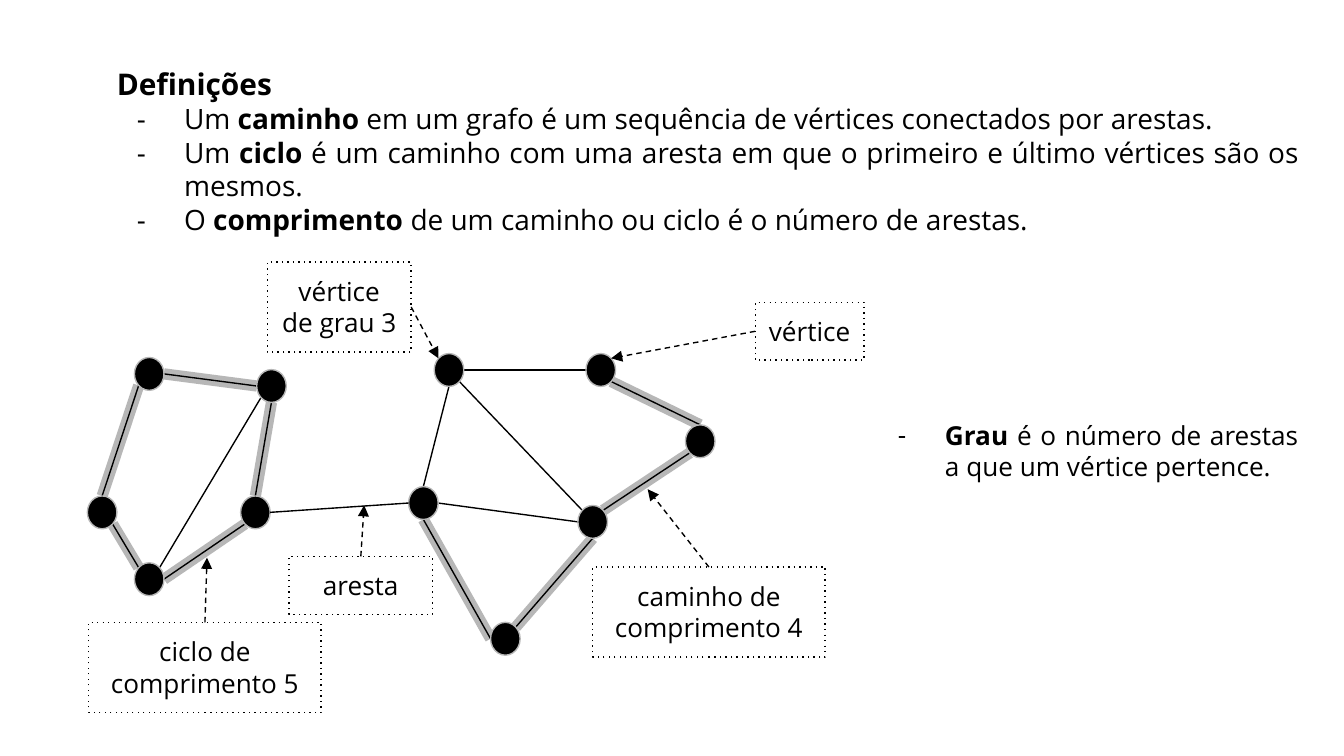
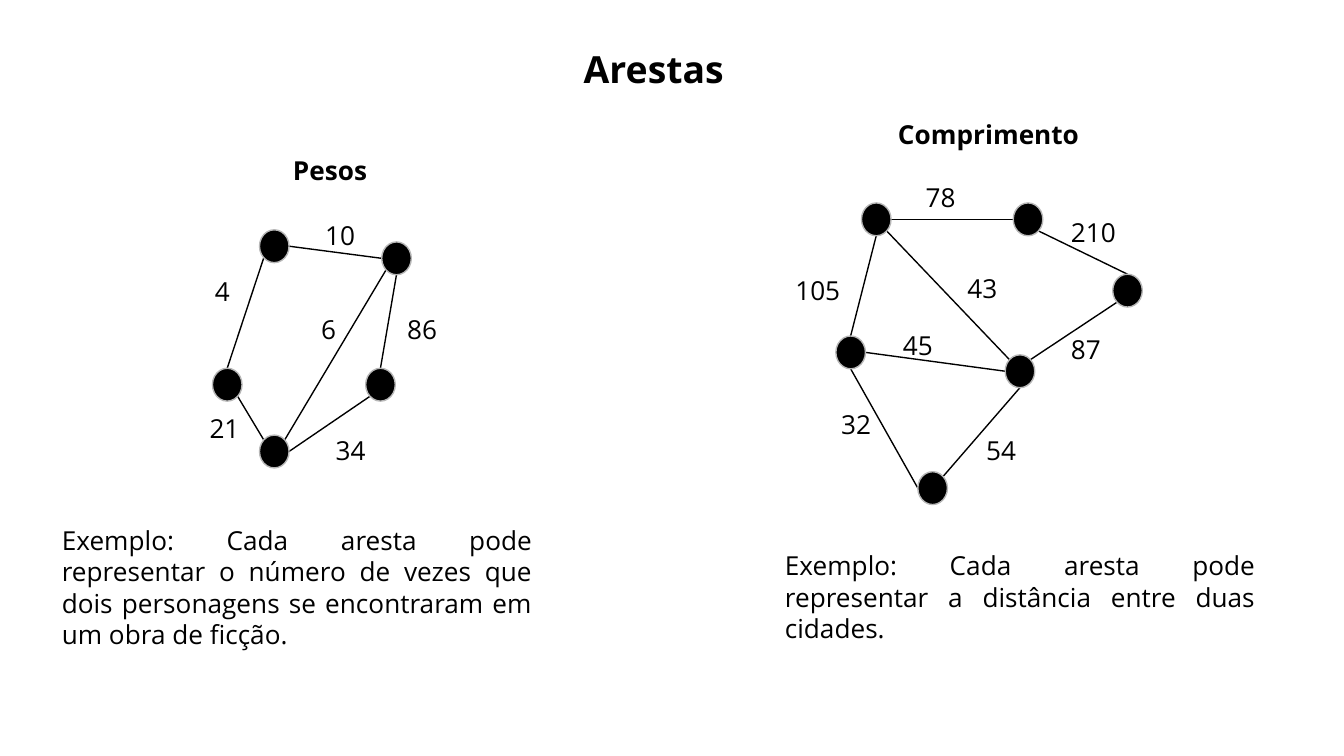
from math import sqrt

from lxml import etree
from pptx import Presentation
from pptx.dml.color import RGBColor
from pptx.enum import dml, shapes, text
from pptx.oxml import ns
from pptx.util import Pt

COLORS = {"ink": "000000", "highlight": "B7B7B7"}
FONT = "Open Sans"
THIN, THICK = 0.75, 6
VERTEX_W, VERTEX_H = 15.84, 17.6
LABEL_H = 31
LEFT, CENTER, JUSTIFY = text.PP_ALIGN.LEFT, text.PP_ALIGN.CENTER, text.PP_ALIGN.JUSTIFY

D = 1 / sqrt(2)
SITES = {"N": (0, -1), "NE": (D, -D), "E": (1, 0), "SE": (D, D),
         "S": (0, 1), "SW": (-D, D), "W": (-1, 0), "NW": (-D, -D)}

# Edges: vertex, site, vertex, site, highlighted, weight, weight left, top, width
CYCLE = {
    "vertices": {"a": (25.2, 0), "b": (90.7, 6.5), "c": (82.1, 74.2),
                 "d": (25.2, 110), "e": (0, 74.2)},
    "edges": [
        ("e", "N", "a", "SW", True, "4", -5.8, 17.3, 19.4),
        ("a", "E", "b", "W", True, "10", 53.3, -13, 37.4),
        ("d", "NE", "b", "SW", False, "6", 51.1, 37.4, 37.4),
        ("b", "S", "c", "N", True, "86", 97.2, 37.4, 33.8),
        ("c", "SW", "d", "E", True, "34", 59, 102.2, 33.8),
        ("d", "NW", "e", "SE", True, "21", -8.6, 90.7, 33.8),
    ],
}
TRAIL = {
    "vertices": {"f": (13.7, 0), "g": (95, 0), "h": (148.3, 38.2),
                 "i": (90.7, 81.4), "j": (43.9, 144), "k": (0, 71.3)},
    "edges": [
        ("k", "N", "f", "S", False, "105", -28.8, 31, 46.8),
        ("j", "W", "k", "S", True, "32", -4.3, 103, 37.4),
        ("j", "NE", "i", "S", True, "54", 73.4, 116.6, 37.4),
        ("i", "NE", "h", "SW", True, "87", 118.8, 62.6, 37.4),
        ("h", "N", "g", "SE", True, "210", 118.8, 0, 54),
        ("f", "E", "g", "W", False, "78", 41, -18.7, 37.4),
        ("i", "NW", "f", "SE", False, "43", 63.4, 30.2, 37.4),
        ("k", "E", "i", "W", False, "45", 28.8, 60.5, 37.4),
    ],
}


def rgb(name):
    """Return the named colour."""
    return RGBColor.from_string(COLORS[name])


def bullet(paragraph, mark):
    """Give a paragraph a hanging mark, or no mark and no indent."""
    props = paragraph._p.get_or_add_pPr()
    props.set("marL", str(Pt(36 if mark else 0)))
    props.set("indent", str(Pt(-25.2 if mark else 0)))
    if mark:
        etree.SubElement(props, ns.qn("a:buFont"), typeface=FONT)
        etree.SubElement(props, ns.qn("a:buChar"), char=mark)
    else:
        etree.SubElement(props, ns.qn("a:buNone"))


def write(holder, paragraphs, size, align, mark=None):
    """Fill a shape with paragraphs made of (words, bold) runs."""
    frame = holder.text_frame
    frame.word_wrap = True
    frame.auto_size = text.MSO_AUTO_SIZE.NONE
    frame.vertical_anchor = text.MSO_ANCHOR.TOP
    frame.margin_left = frame.margin_right = Pt(7.2)
    frame.margin_top = frame.margin_bottom = Pt(7.2)
    for index, runs in enumerate(paragraphs):
        paragraph = frame.add_paragraph() if index else frame.paragraphs[0]
        paragraph.alignment = align
        paragraph.line_spacing = 1.0
        paragraph.space_before = paragraph.space_after = Pt(0)
        bullet(paragraph, mark)
        for words, bold in runs:
            run = paragraph.add_run()
            run.text = words
            run.font.name, run.font.size, run.font.bold = FONT, Pt(size), bold
            run.font.color.rgb = rgb("ink")


def place(holder, box):
    """Move a placeholder to a box."""
    holder.left, holder.top, holder.width, holder.height = map(Pt, box)
    return holder


def segment(slide, start, end, color="ink", width=THIN, arrow=False):
    """Draw a straight line, or a dashed arrow."""
    link = slide.shapes.add_connector(shapes.MSO_CONNECTOR.STRAIGHT, *map(Pt, (*start, *end)))
    link.line.color.rgb = rgb(color)
    link.line.width = Pt(width)
    if arrow:
        link.line.dash_style = dml.MSO_LINE.DASH
        etree.SubElement(link.line._get_or_add_ln(), ns.qn("a:tailEnd"), type="triangle")
    etree.SubElement(link._element.spPr, ns.qn("a:effectLst"))


def site(graph, origin, vertex, side):
    """Return the point on a vertex outline at a compass side."""
    x, y = graph["vertices"][vertex]
    dx, dy = SITES[side]
    return (origin[0] + x + VERTEX_W / 2 * (1 + dx), origin[1] + y + VERTEX_H / 2 * (1 + dy))


def draw_graph(slide, graph, origin, highlight=False, weights=False):
    """Draw a graph from its top left corner."""
    left, top = origin
    ends = [(site(graph, origin, *edge[:2]), site(graph, origin, *edge[2:4]), edge[4])
            for edge in graph["edges"]]
    for start, end, marked in ends:
        if highlight and marked:
            segment(slide, start, end, "highlight", THICK)
    for start, end, _ in ends:
        segment(slide, start, end)
    for x, y in graph["vertices"].values():
        vertex = slide.shapes.add_shape(
            shapes.MSO_SHAPE.OVAL, Pt(left + x), Pt(top + y), Pt(VERTEX_W), Pt(VERTEX_H))
        vertex.shadow.inherit = False
        vertex.fill.solid()
        vertex.fill.fore_color.rgb = rgb("ink")
        vertex.line.color.rgb = rgb("highlight")
        vertex.line.width = Pt(THIN)
    if weights:
        for *_, weight, x, y, width in graph["edges"]:
            label = slide.shapes.add_textbox(Pt(left + x), Pt(top + y), Pt(width), Pt(LABEL_H))
            write(label, [[(weight, False)]], 14, LEFT)


def callout(slide, words, box, side, tip):
    """Draw a dotted label box with an arrow from one side to a tip."""
    left, top, width, height = box
    dx, dy = SITES[side]
    segment(slide, (left + width / 2 * (1 + dx), top + height / 2 * (1 + dy)), tip, arrow=True)
    label = slide.shapes.add_shape(shapes.MSO_SHAPE.RECTANGLE, *map(Pt, box))
    label.shadow.inherit = False
    label.fill.background()
    label.line.color.rgb = rgb("ink")
    label.line.width = Pt(THIN)
    label.line.dash_style = dml.MSO_LINE.ROUND_DOT
    label.line._get_or_add_ln().find(ns.qn("a:prstDash")).set("val", "dot")
    write(label, [[(words, False)]], 14, CENTER)


def definitions_slide(deck):
    """Build the slide that defines paths, cycles and degree."""
    slide = deck.slides.add_slide(deck.slide_layouts[3])
    heading, terms, degree = slide.placeholders
    write(place(heading, (55.4, 28.1, 648, 26.4)), [[("Definições", True)]], 16, JUSTIFY)
    write(place(terms, (55.4, 47.3, 648, 86.4)), [
        [("Um ", False), ("caminho ", True),
         ("em um grafo é um sequência de vértices conectados por arestas.", False)],
        [("Um ", False), ("ciclo", True),
         (" é um caminho com uma aresta em que o primeiro e último vértices são os mesmos.",
          False)],
        [("O ", False), ("comprimento", True),
         (" de um caminho ou ciclo é o número de arestas.", False)],
    ], 15, JUSTIFY, "-")
    write(place(degree, (463, 217.4, 239.8, 48.2)), [
        [("Grau ", True), ("é o número de arestas a que um vértice pertence.", False)],
    ], 14, JUSTIFY, "-")

    cycle_at, trail_at = (46.8, 191.5), (218.9, 189.4)
    draw_graph(slide, CYCLE, cycle_at, highlight=True)
    draw_graph(slide, TRAIL, trail_at, highlight=True)
    segment(slide, site(CYCLE, cycle_at, "c", "E"), site(TRAIL, trail_at, "k", "W"))

    for words, box, side, tip in [
        ("ciclo de comprimento 5", (47.5, 333.4, 124.6, 48.2), "N", (110.9, 298.8)),
        ("caminho de comprimento 4", (317.5, 303.8, 124.6, 48.2), "N", (347, 262.1)),
        ("vértice", (404.6, 162, 58.3, LABEL_H), "W", site(TRAIL, trail_at, "g", "NE")),
        ("aresta", (154.8, 298.1, 77, LABEL_H), "N", (195.1, 270.7)),
        ("vértice de grau 3", (143.3, 140.4, 77, 48.2), "E", site(TRAIL, trail_at, "f", "NW")),
    ]:
        callout(slide, words, box, side, tip)


def edges_slide(deck):
    """Build the slide that compares edge weights and lengths."""
    slide = deck.slides.add_slide(deck.slide_layouts[4])
    heading, weights, weights_example, lengths, lengths_example = slide.placeholders
    write(place(heading, (295.9, 17.3, 108.7, 38.2)), [[("Arestas", True)]], 20, CENTER)
    for topic, words, box in [
        (weights, "Pesos", (142.6, 75.6, 68.4, LABEL_H)),
        (lengths, "Comprimento", (463.7, 56.2, 131.8, LABEL_H)),
    ]:
        write(place(topic, box), [[(words, True)]], 14, CENTER)
    for example, words, box in [
        (weights_example, "Exemplo: Cada aresta pode representar o número de vezes que dois "
         "personagens se encontraram em um obra de ficção.", (25.9, 273.6, 266.4, 81.4)),
        (lengths_example, "Exemplo: Cada aresta pode representar a distância entre duas "
         "cidades.", (413.3, 287.3, 266.4, 64.8)),
    ]:
        write(place(example, box), [[(words, False)]], 14, JUSTIFY)
    draw_graph(slide, CYCLE, (113.8, 123.1), weights=True)
    draw_graph(slide, TRAIL, (447.8, 108.7), weights=True)


def main():
    """Build and save the deck."""
    deck = Presentation()
    deck.slide_width, deck.slide_height = Pt(720), Pt(405)
    definitions_slide(deck)
    edges_slide(deck)
    deck.save("out.pptx")


if __name__ == "__main__":
    main()
